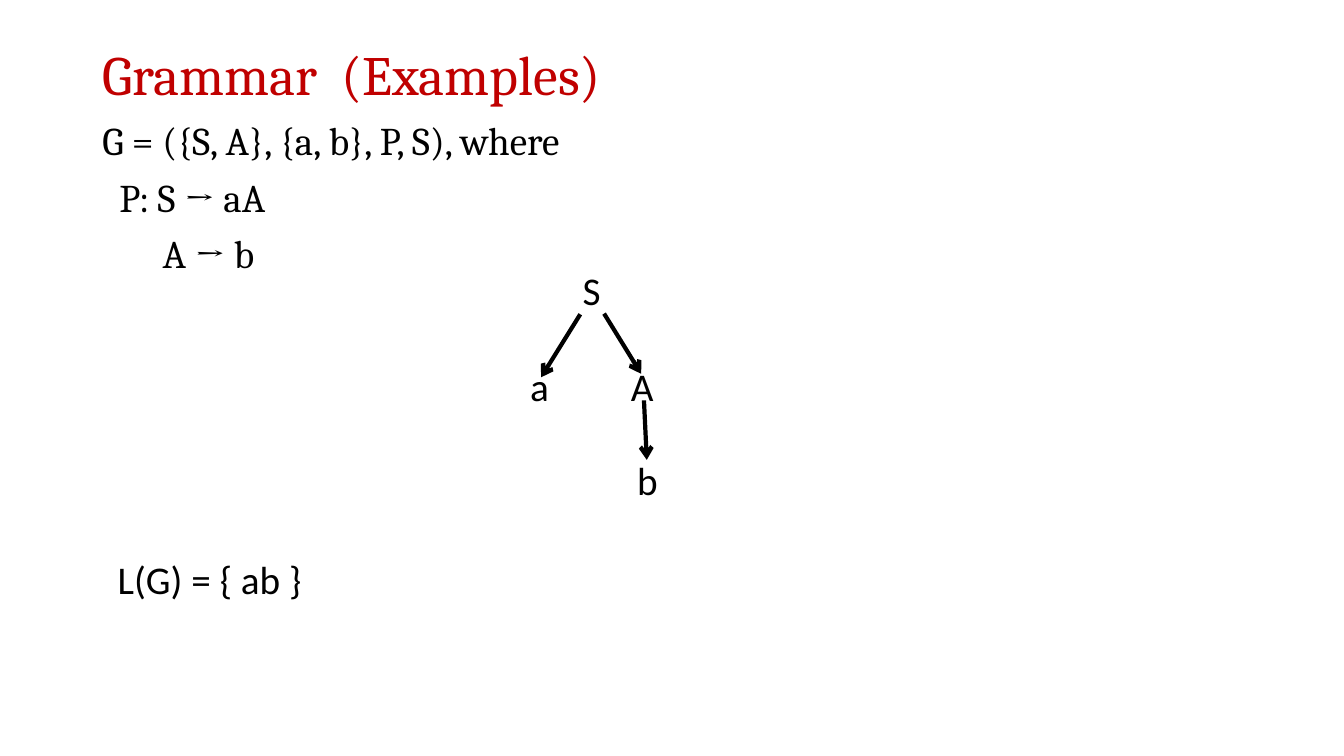
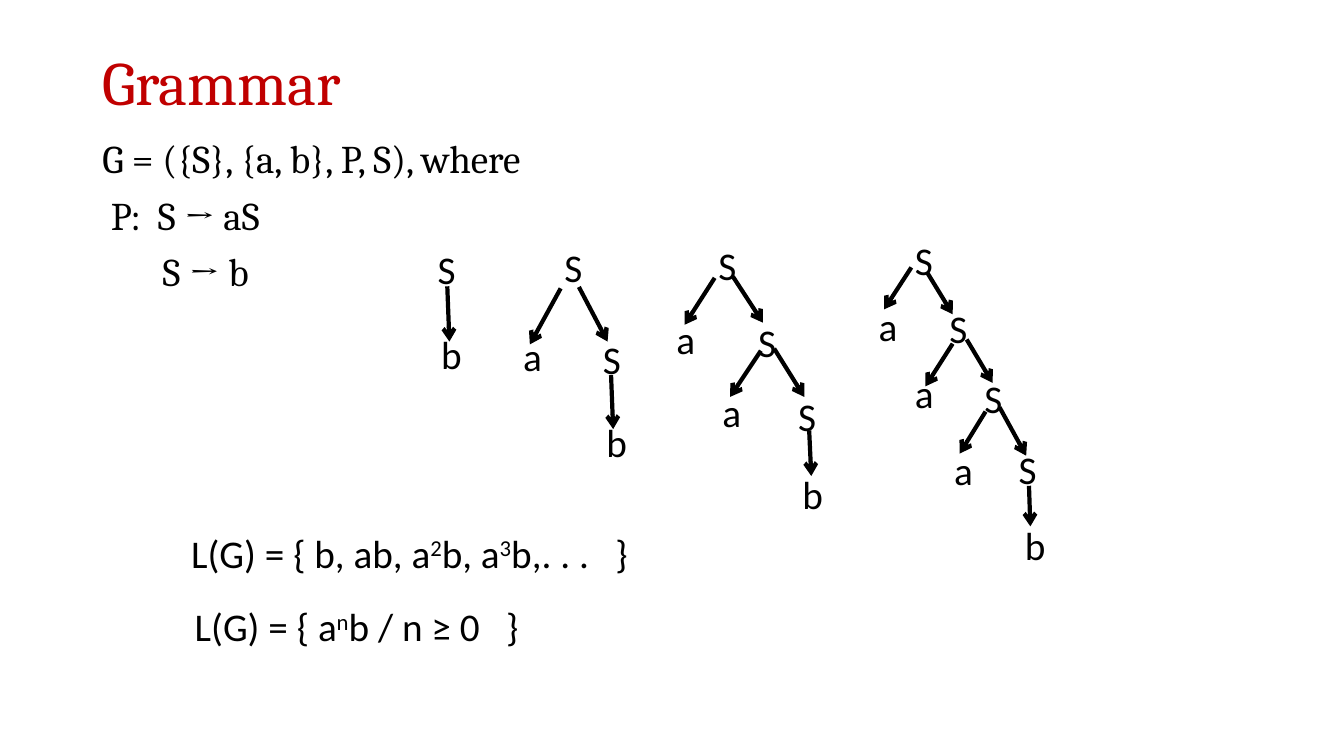
from pptx import Presentation
from pptx.dml.color import RGBColor
from pptx.enum.shapes import MSO_CONNECTOR as CONN
from pptx.enum.text import MSO_ANCHOR as ANCHOR, PP_ALIGN as ALIGN
from pptx.oxml.ns import qn
from pptx.util import Pt
from lxml.etree import SubElement

RED, BLACK = "C00000", "000000"
HEADING_FONT, LABEL_FONT = "Cambria", "Calibri"
LEFT, WIDTH, TITLE_TOP = 66, 828, 29
TEXT_SIZE = 28


def rgb(code):
    return RGBColor.from_string(code)


def add_text(s, box, lines, size=TEXT_SIZE, font=LABEL_FONT, color=BLACK):
    tf = s.shapes.add_textbox(*[Pt(v) for v in box]).text_frame
    tf.word_wrap = True
    for i, line in enumerate(lines):
        p = tf.paragraphs[0] if i == 0 else tf.add_paragraph()
        for j, piece in enumerate(line.split("^")):
            r = p.add_run()
            r.text = piece
            r.font.size = Pt(size)
            r.font.name = font
            r.font.color.rgb = rgb(color)
            if j % 2:
                r.font._element.set("baseline", "30000")
    return tf


slides = [
    {
        "title": "Grammar  (Examples)", "title_size": 39.6, "title_height": 52.5,
        "body_top": 83.5, "body_height": 417,
        "rules": [("G = ({S, A}, {a, b}, P, S), where", 0),
                  ("P: S → aA", 12.3), ("A → b", 43.1)],
        "trees": [
            {"size": (29.5, 44),
             "nodes": [("S", 409, 186.5), ("a", 371.5, 255.5),
                       ("A", 443.5, 255.5), ("b", 448, 322.5)],
             "arrows": [(414.5, 224.5, 386.5, 269.5), (431.5, 224, 458, 267),
                        (460, 286, 462, 328.5)]},
        ],
        "languages": [("L(G) = { ab }", 77, 393, 152)],
    },
    {
        "title": "Grammar", "title_size": 44, "title_height": 64,
        "body_top": 96.5, "body_height": 411,
        "rules": [("G = ({S}, {a, b}, P, S), where", 0),
                  ("P:  S → aS", 6.2), ("S → b", 43.1)],
        "trees": [
            {"size": (29, 41),
             "nodes": [("S", 305.5, 172), ("b", 308, 232.5)],
             "arrows": [(319.5, 204.5, 321, 244)]},
            {"size": (23, 40.5),
             "nodes": [("S", 396, 170.5), ("a", 366.5, 234),
                       ("S", 423.5, 236), ("b", 426, 295)],
             "arrows": [(400.5, 206, 378.5, 246), (413.5, 205, 434, 244),
                        (436.5, 268, 438, 306.5)]},
            {"size": (23, 34),
             "nodes": [("S", 506, 169), ("a", 476, 222), ("S", 534.5, 224),
                       ("a", 509, 273.5), ("S", 563, 276.5), ("b", 566, 332.5)],
             "arrows": [(510.5, 198.5, 489, 232), (523.5, 197.5, 545, 230.5),
                        (543.5, 250.5, 521.5, 283.5), (553, 249, 574.5, 283.5),
                        (578, 307.5, 579.5, 340)]},
            {"size": (20, 30),
             "nodes": [("S", 646.5, 165), ("a", 620.5, 212.5), ("S", 671, 214),
                       ("a", 646.5, 260.5), ("S", 696, 263.5),
                       ("a", 674.5, 315.5), ("S", 720.5, 314.5), ("b", 725, 368.5)],
             "arrows": [(651, 191, 631.5, 221), (662.5, 195, 680.5, 224.5),
                        (680.5, 245.5, 661, 276), (690.5, 242.5, 709, 273.5),
                        (704, 294, 685.5, 324), (714, 291, 733, 325.5),
                        (735, 347, 736, 376)]},
        ],
        "languages": [("L(G) = { b, ab, a^2^b, a^3^b,. . .   }", 129.5, 374.5, 366),
                      ("L(G) = { a^n^b / n ≥ 0   }", 132, 427, 364)],
    },
]

prs = Presentation()
prs.slide_width, prs.slide_height = Pt(960), Pt(540)

for content in slides:
    s = prs.slides.add_slide(prs.slide_layouts[6])

    tf = add_text(s, (LEFT, TITLE_TOP, WIDTH, content["title_height"]),
                  [content["title"]], content["title_size"], HEADING_FONT, RED)
    tf.vertical_anchor = ANCHOR.MIDDLE
    tf.paragraphs[0].line_spacing = 0.9

    rules = content["rules"]
    tf = add_text(s, (LEFT, content["body_top"], WIDTH, content["body_height"]),
                  [line for line, indent in rules], font=HEADING_FONT)
    for i, (p, (line, indent)) in enumerate(zip(tf.paragraphs, rules)):
        p.alignment = ALIGN.JUSTIFY
        p.line_spacing = 0.9
        p.space_before = Pt(10 if i else 0)
        p._p.get_or_add_pPr().set("marL", str(Pt(indent)))

    for tree in content["trees"]:
        for x1, y1, x2, y2 in tree["arrows"]:
            arrow = s.shapes.add_connector(CONN.STRAIGHT, Pt(x1), Pt(y1), Pt(x2), Pt(y2))
            arrow.line.color.rgb = rgb(BLACK)
            arrow.line.width = Pt(3)
            SubElement(arrow.line._get_or_add_ln(), qn("a:tailEnd"), type="arrow")
            SubElement(arrow._element.spPr, qn("a:effectLst"))
        for label, x, y in tree["nodes"]:
            add_text(s, (x, y, *tree["size"]), [label])

    for line, x, y, width in content["languages"]:
        add_text(s, (x, y, width, 41), [line])

prs.save("out.pptx")
